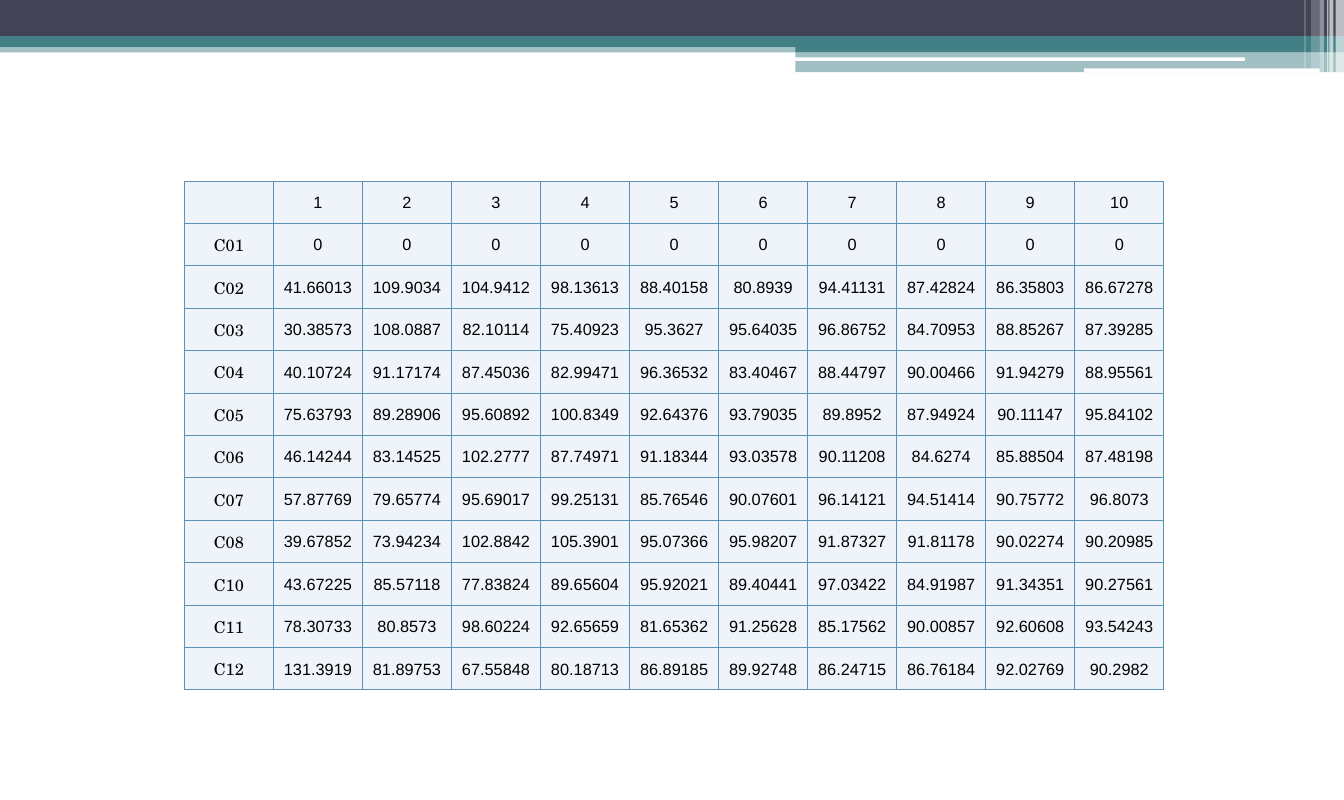
from typing import NamedTuple

from lxml.etree import SubElement
from pptx import Presentation
from pptx.dml.color import RGBColor
from pptx.enum.shapes import MSO_SHAPE
from pptx.enum.text import MSO_ANCHOR, PP_ALIGN
from pptx.oxml.ns import qn
from pptx.slide import Slide
from pptx.table import _Cell
from pptx.util import Cm, Pt

NAVY = RGBColor(0x42, 0x44, 0x56)
TEAL = RGBColor(0x43, 0x80, 0x86)
WHITE = RGBColor(0xFF, 0xFF, 0xFF)
BLACK = RGBColor(0, 0, 0)
PALE = RGBColor(0xEE, 0xF4, 0xFA)
BLUE = RGBColor(0x5C, 0x92, 0xB5)

WIDTH, HEIGHT = 32, 19.05
COL, ROW = 2.12, 1.01
CELL = {
    "vertical_anchor": MSO_ANCHOR.MIDDLE,
    "margin_left": Cm(0.03),
    "margin_right": Cm(0.03),
    "margin_top": Cm(0.03),
    "margin_bottom": Cm(0),
}
FONT = {"name": "TeX Gyre Schola", "size": Pt(11), "bold": False}


class Bar(NamedTuple):
    """A banner bar, in centimetres; alpha in percent."""
    left: float
    top: float
    width: float
    height: float
    fill: RGBColor
    alpha: int = 100
    form: MSO_SHAPE = MSO_SHAPE.RECTANGLE


ROUND = MSO_SHAPE.ROUNDED_RECTANGLE
BARS = [
    # Full-width bands
    Bar(0, 1.02, WIDTH, 0.23, TEAL, 50),
    Bar(0, 0, WIDTH, 0.86, NAVY),
    Bar(0, 0.86, WIDTH, 0.26, TEAL),
    # Right-hand step
    Bar(18.94, 0.99, 13.06, 0.25, TEAL),
    Bar(18.94, 1.23, 13.06, 0.49, TEAL, 50),
    Bar(18.92, 1.37, 10.72, 0.08, WHITE, form=ROUND),
    Bar(25.81, 1.63, 5.61, 0.1, WHITE, form=ROUND),
    # Pale stripes at the edge
    Bar(31.8, 0, 0.2, 1.73, WHITE, 65),
    Bar(31.65, 0, 0.1, 1.73, WHITE, 65),
    Bar(31.6, 0, 0.03, 1.73, WHITE, 60),
    Bar(31.42, 0, 0.1, 1.73, WHITE, 40),
    Bar(31.22, 0, 0.2, 1.63, WHITE, 20),
    Bar(31.06, 0, 0.03, 1.63, WHITE, 30),
]

DATA = [
    "C02 41.66013 109.9034 104.9412 98.13613 88.40158 80.8939 94.41131 87.42824 86.35803 86.67278",
    "C03 30.38573 108.0887 82.10114 75.40923 95.3627 95.64035 96.86752 84.70953 88.85267 87.39285",
    "C04 40.10724 91.17174 87.45036 82.99471 96.36532 83.40467 88.44797 90.00466 91.94279 88.95561",
    "C05 75.63793 89.28906 95.60892 100.8349 92.64376 93.79035 89.8952 87.94924 90.11147 95.84102",
    "C06 46.14244 83.14525 102.2777 87.74971 91.18344 93.03578 90.11208 84.6274 85.88504 87.48198",
    "C07 57.87769 79.65774 95.69017 99.25131 85.76546 90.07601 96.14121 94.51414 90.75772 96.8073",
    "C08 39.67852 73.94234 102.8842 105.3901 95.07366 95.98207 91.87327 91.81178 90.02274 90.20985",
    "C10 43.67225 85.57118 77.83824 89.65604 95.92021 89.40441 97.03422 84.91987 91.34351 90.27561",
    "C11 78.30733 80.8573 98.60224 92.65659 81.65362 91.25628 85.17562 90.00857 92.60608 93.54243",
    "C12 131.3919 81.89753 67.55848 80.18713 86.89185 89.92748 86.24715 86.76184 92.02769 90.2982",
]
ROWS = [
    ["", *map(str, range(1, 11))],
    ["C01", *["0"] * 10],
    *(line.split() for line in DATA),
]


def draw_bar(slide: Slide, bar: Bar) -> None:
    shape = slide.shapes.add_shape(bar.form, *map(Cm, bar[:4]))
    shape.shadow.inherit = False
    shape.line.fill.background()
    shape.fill.solid()
    shape.fill.fore_color.rgb = bar.fill
    if bar.alpha < 100:
        tint = shape.fill._xPr.find(qn("a:solidFill"))[0]
        SubElement(tint, qn("a:alpha"), val=str(bar.alpha * 1000))


def draw_edges(cell: _Cell) -> None:
    props = cell._tc.get_or_add_tcPr()
    for side in ("lnL", "lnR", "lnT", "lnB"):
        line = SubElement(props, qn(f"a:{side}"), w=str(Pt(0.75)))
        fill = SubElement(line, qn("a:solidFill"))
        SubElement(fill, qn("a:srgbClr"), val=str(BLUE))


def fill_cell(cell: _Cell, text: str) -> None:
    draw_edges(cell)
    cell.fill.solid()
    cell.fill.fore_color.rgb = PALE
    for key, value in CELL.items():
        setattr(cell, key, value)
    para = cell.text_frame.paragraphs[0]
    para.alignment = PP_ALIGN.CENTER
    para._p.get_or_add_pPr().set("rtl", "1")
    if text:
        run = para.add_run()
        run.text = text
        for key, value in FONT.items():
            setattr(run.font, key, value)
        run.font.color.rgb = BLACK
        # Bare numbers in right-to-left text use the complex-script font
        SubElement(run._r.get_or_add_rPr(), qn("a:cs"), typeface="Arial")


def draw_table(slide: Slide, rows: list[list[str]]) -> None:
    high, wide = len(rows), len(rows[0])
    frame = slide.shapes.add_table(
        high, wide, Cm(4.39), Cm(4.31), Cm(COL * wide), Cm(ROW * high))
    table = frame.table
    table.first_row = table.horz_banding = False
    for col in table.columns:
        col.width = Cm(COL)
    for row, texts in zip(table.rows, rows):
        row.height = Cm(ROW)
        for cell, text in zip(row.cells, texts):
            fill_cell(cell, text)


def main() -> None:
    deck = Presentation()
    deck.slide_width, deck.slide_height = Cm(WIDTH), Cm(HEIGHT)
    slide = deck.slides.add_slide(deck.slide_layouts[6])
    # Banner
    for bar in BARS:
        draw_bar(slide, bar)
    # Results
    draw_table(slide, ROWS)
    deck.save("out.pptx")


if __name__ == "__main__":
    main()
